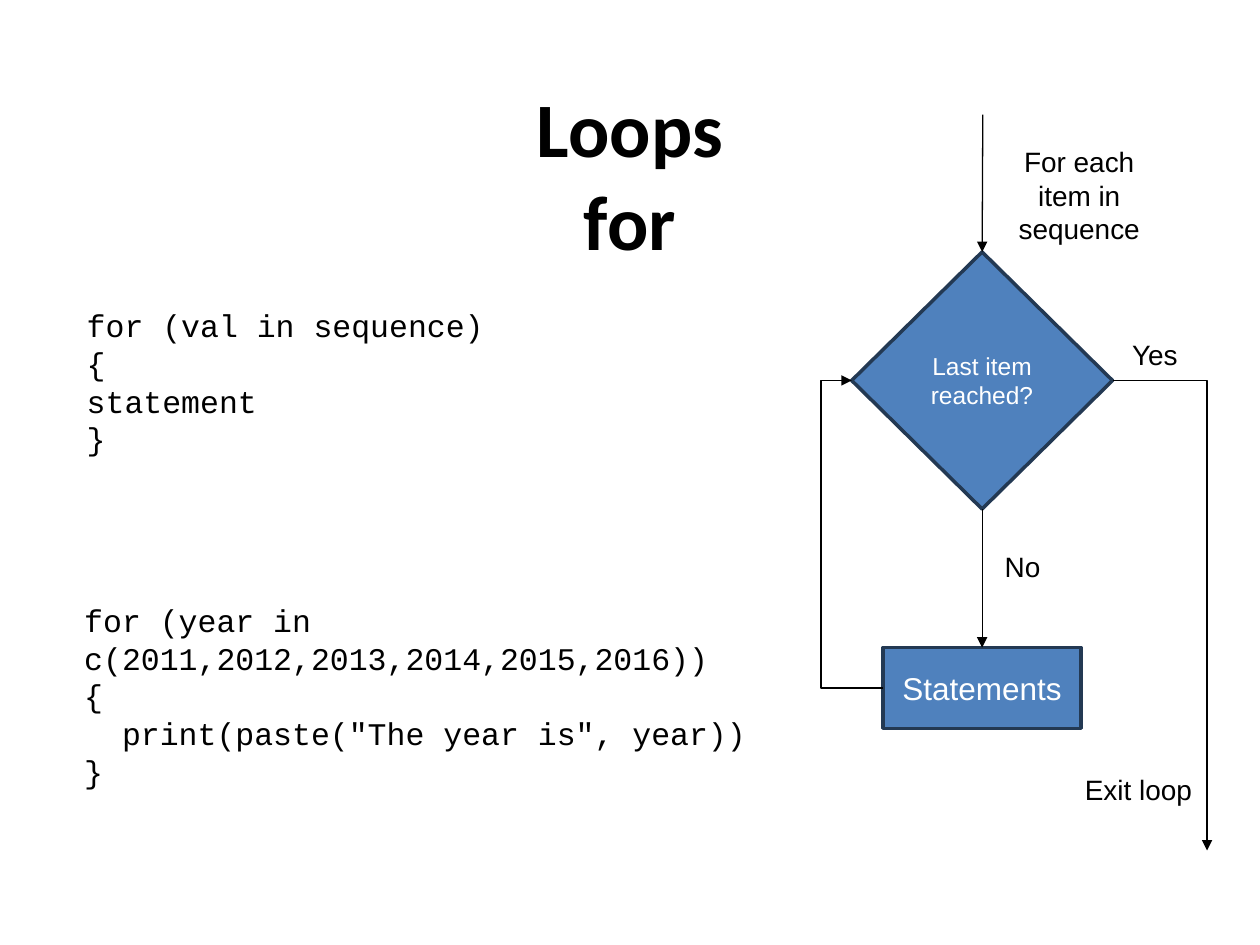
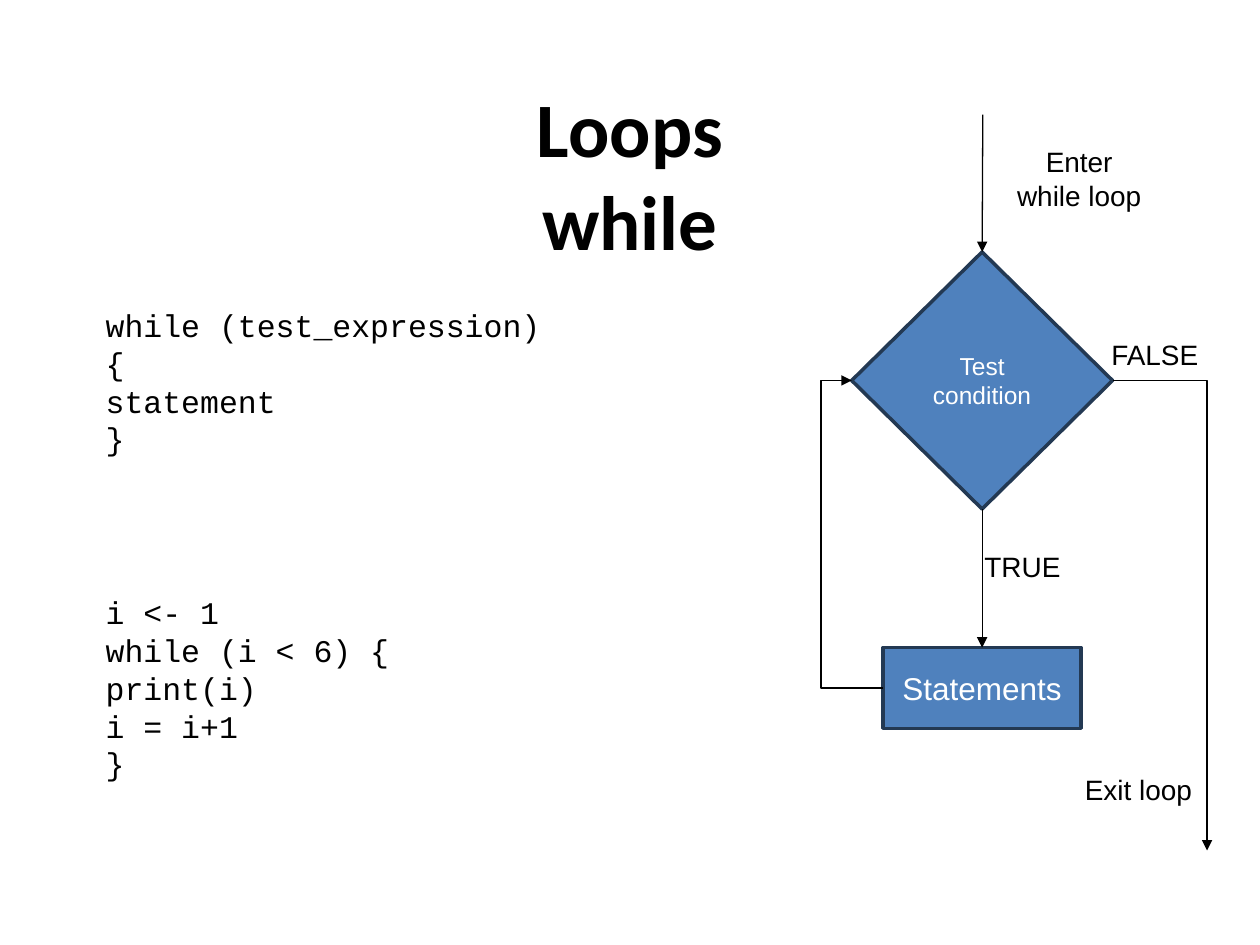
"""Build two slides that explain for and while loops with code and flowcharts."""
import pptx
import pptx.util
import pptx.dml.color
import pptx.enum.shapes
import pptx.enum.text
import pptx.oxml
import pptx.oxml.ns

Inches = pptx.util.Inches
Pt = pptx.util.Pt
SHAPE = pptx.enum.shapes.MSO_SHAPE
CONNECTOR = pptx.enum.shapes.MSO_CONNECTOR
ANCHOR = pptx.enum.text.MSO_ANCHOR
ALIGN = pptx.enum.text.PP_ALIGN
COLORS = {"ink": "000000", "fill": "4F81BD", "edge": "233953", "light": "FFFFFF"}
TOP, LEFT, BOTTOM, RIGHT = range(4)


def write(shape, text, size, font, color="ink", align=ALIGN.CENTER, bold=False):
    """Fill a shape with wrapped text in one style."""
    frame = shape.text_frame
    frame.word_wrap = True
    frame.text = text
    for para in frame.paragraphs:
        para.alignment = align
        for span in para.runs:
            span.font.size = Pt(size)
            span.font.name = font
            span.font.bold = bold
            span.font.color.rgb = pptx.dml.color.RGBColor.from_string(COLORS[color])


def add_arrow(page, kind, start, end):
    """Draw a thin arrow; each end is a point or a shape with its connection site."""
    points = [(0, 0) if hasattr(spot[0], "shape_id") else spot for spot in (start, end)]
    arrow = page.shapes.add_connector(kind, *[Inches(value) for point in points for value in point])
    for spot, connect in ((start, arrow.begin_connect), (end, arrow.end_connect)):
        if hasattr(spot[0], "shape_id"):
            connect(*spot)
    arrow.line.width = Pt(0.75)
    arrow.line.color.rgb = pptx.dml.color.RGBColor.from_string(COLORS["ink"])
    head = pptx.oxml.parse_xml(f'<a:tailEnd {pptx.oxml.ns.nsdecls("a")} type="triangle"/>')
    arrow.line._get_or_add_ln().append(head)
    arrow._element.spPr.append(pptx.oxml.parse_xml(f'<a:effectLst {pptx.oxml.ns.nsdecls("a")}/>'))
    return arrow._element.spPr.find(pptx.oxml.ns.qn("a:prstGeom"))


loops = [
    {
        "title": "Loops\vfor",
        "code": [
            (0.59, 2.38, 5, 1.3, "for (val in sequence)\n{\nstatement\n}"),
            (0.57, 4.72, 5.59, 1.6,
             "for (year in c(2011,2012,2013,2014,2015,2016))\n{\n"
             '  print(paste("The year is", year))\n}'),
        ],
        "enter": "For each item in sequence",
        "test": "Last item reached?",
        "leave": "Yes",
        "repeat": "No",
    },
    {
        "title": "Loops\vwhile",
        "code": [
            (0.74, 2.38, 5, 1.3, "while (test_expression)\n{\nstatement\n}"),
            (0.74, 4.66, 5, 1.6, "i <- 1\nwhile (i < 6) {\nprint(i)\ni = i+1\n}"),
        ],
        "enter": "Enter while loop",
        "test": "Test condition",
        "leave": "FALSE",
        "repeat": "TRUE",
    },
]

deck = pptx.Presentation()
deck.slide_width, deck.slide_height = Inches(10), Inches(7.5)

for loop in loops:
    page = deck.slides.add_slide(deck.slide_layouts[5])
    title = page.shapes.title
    title.left, title.top, title.width, title.height = map(Inches, (0.5, 0.75, 9, 1.25))
    write(title, loop["title"], 44, "Calibri", bold=True)
    frame = title.text_frame
    frame.auto_size = pptx.enum.text.MSO_AUTO_SIZE.NONE
    frame.vertical_anchor = ANCHOR.MIDDLE
    frame.margin_left = frame.margin_right = frame.margin_top = frame.margin_bottom = 0

    for *place, code in loop["code"]:
        box = page.shapes.add_textbox(*map(Inches, place))
        write(box, code, 18, "Courier New", align=ALIGN.LEFT)

    nodes = []
    for kind, place, text, size in (
        (SHAPE.FLOWCHART_DECISION, (6.76, 2, 2.07, 2.04), loop["test"], 14),
        (SHAPE.FLOWCHART_PROCESS, (7.01, 5.14, 1.57, 0.64), "Statements", 18),
    ):
        node = page.shapes.add_shape(kind, *map(Inches, place))
        node.shadow.inherit = False
        node.fill.solid()
        node.fill.fore_color.rgb = pptx.dml.color.RGBColor.from_string(COLORS["fill"])
        node.line.color.rgb = pptx.dml.color.RGBColor.from_string(COLORS["edge"])
        node.line.width = Pt(2)
        node.text_frame.vertical_anchor = ANCHOR.MIDDLE
        write(node, text, size, "Arial", "light")
        nodes.append(node)
    decision, statements = nodes

    add_arrow(page, CONNECTOR.STRAIGHT, (7.8, 0.91), (decision, TOP))
    add_arrow(page, CONNECTOR.STRAIGHT, (decision, BOTTOM), (statements, TOP))
    back = add_arrow(page, CONNECTOR.ELBOW, (statements, LEFT), (decision, LEFT))
    guides = back.get_or_add_avLst()
    guides.append(pptx.oxml.parse_xml(
        f'<a:gd {pptx.oxml.ns.nsdecls("a")} name="adj1" fmla="val 197700"/>'))
    leave = add_arrow(page, CONNECTOR.ELBOW, (decision, RIGHT), (9.58, 6.75))
    leave.set("prst", "bentConnector2")

    for left, top, height, text in (
        (7.97, 1.1, 0.91, loop["enter"]),
        (8.57, 2.63, 0.37, loop["leave"]),
        (8.44, 6.08, 0.37, "Exit loop"),
        (7.52, 4.31, 0.37, loop["repeat"]),
    ):
        label = page.shapes.add_textbox(*map(Inches, (left, top, 1.19, height)))
        write(label, text, 16, "Arial")

deck.save("out.pptx")
